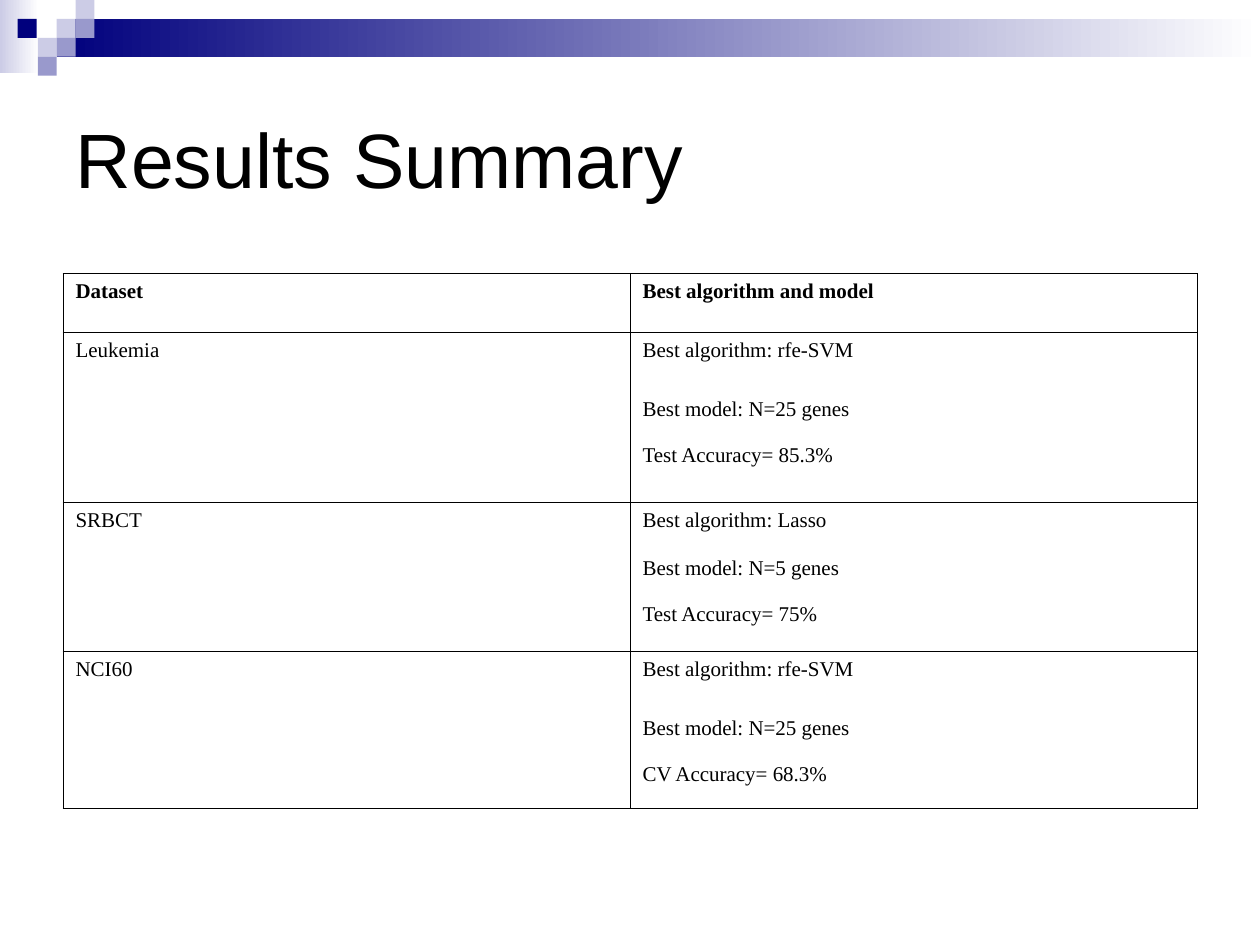
from lxml import etree
from pptx import Presentation
from pptx import util as u
from pptx.dml.color import RGBColor
from pptx.enum import shapes, text
from pptx.oxml import ns

WHITE = RGBColor(0xFF, 0xFF, 0xFF)
BLACK = RGBColor(0, 0, 0)
NAVY = RGBColor(0, 0, 0x7D)
LAVENDER = RGBColor(0xCC, 0xCC, 0xE6)
PERIWINKLE = RGBColor(0x99, 0x99, 0xCC)

BANDS = [((0, 0, 0.31, 0.58), LAVENDER), ((0.45, 0.15, 9.55, 0.3), NAVY)]
SQUARE = 0.15
SQUARES = [
    (0.45, 0.15, LAVENDER),
    (0.6, 0, LAVENDER),
    (0.6, 0.15, PERIWINKLE),
    (0.3, 0.3, LAVENDER),
    (0.14, 0.15, NAVY),
    (0.45, 0.3, PERIWINKLE),
    (0.3, 0.45, PERIWINKLE),
]
HEADINGS = ("Dataset", "Best algorithm and model")
RESULTS = [
    ("Leukemia", "rfe-SVM", 25, "Test Accuracy= 85.3%"),
    ("SRBCT", "Lasso", 5, "Test Accuracy= 75%"),
    ("NCI60", "rfe-SVM", 25, "CV Accuracy= 68.3%"),
]
ROW_HEIGHTS = (0.47, 0.47, 0.88, 0.38, 0.8, 0.47, 0.78)


def add_rectangle(slide, left, top, width, height):
    """Add a rectangle without outline or shadow."""
    shape = slide.shapes.add_shape(
        shapes.MSO_SHAPE.RECTANGLE, *map(u.Inches, (left, top, width, height))
    )
    shape.shadow.inherit = False
    shape.line.fill.background()
    return shape


def add_band(slide, box, color):
    """Add a band that fades from a colour at the left to white."""
    fill = add_rectangle(slide, *box).fill
    fill.gradient()
    fill.gradient_angle = 180
    for stop, stop_color, position in zip(fill.gradient_stops, (WHITE, color), (0, 1)):
        stop.color.rgb = stop_color
        stop.position = position


def add_square(slide, left, top, color):
    """Add one square of the corner mosaic."""
    shape = add_rectangle(slide, left, top, SQUARE, SQUARE)
    shape.fill.solid()
    shape.fill.fore_color.rgb = color


def format_paragraph(paragraph, font_name, size, bold=False):
    """Align a paragraph left and set its font."""
    paragraph.alignment = text.PP_ALIGN.LEFT
    for run in paragraph.runs:
        run.font.name = font_name
        run.font.size = u.Pt(size)
        run.font.bold = bold
        run.font.color.rgb = BLACK


def set_title(slide, wording):
    """Place and format the slide title."""
    title = slide.shapes.title
    title.left, title.top, title.width, title.height = map(u.Inches, (0.5, 0.5, 9, 1.5))
    frame = title.text_frame
    frame.text = wording
    frame.vertical_anchor = text.MSO_ANCHOR.MIDDLE
    format_paragraph(frame.paragraphs[0], "Arial", 44)


def set_borders(cell, sides):
    """Draw thin black borders on the given sides and none elsewhere."""
    properties = cell._tc.get_or_add_tcPr()
    for side in "LRTB":
        line = etree.SubElement(properties, ns.qn(f"a:ln{side}"), w=str(u.Pt(0.45)))
        if side in sides:
            fill = etree.SubElement(line, ns.qn("a:solidFill"))
            etree.SubElement(fill, ns.qn("a:srgbClr"), val=str(BLACK))
        else:
            etree.SubElement(line, ns.qn("a:noFill"))


def fill_cell(cell, wording, sides="LRTB", bold=False):
    """Write and format one table cell."""
    set_borders(cell, sides)
    cell.fill.background()
    cell.text_frame.text = wording
    for index, paragraph in enumerate(cell.text_frame.paragraphs):
        paragraph.space_before = u.Pt(13 if index else 0)
        format_paragraph(paragraph, "Times New Roman", 12, bold)


def add_results_table(slide):
    """Add the table with two rows for each dataset."""
    table = slide.shapes.add_table(
        len(ROW_HEIGHTS), 2, *map(u.Inches, (0.5, 2.17, 9, sum(ROW_HEIGHTS)))
    ).table
    table.first_row = table.horz_banding = False
    for row, height in zip(table.rows, ROW_HEIGHTS):
        row.height = u.Inches(height)
    for column, heading in enumerate(HEADINGS):
        fill_cell(table.cell(0, column), heading, bold=True)
    for index, (dataset, algorithm, genes, accuracy) in enumerate(RESULTS):
        top = 1 + 2 * index
        fill_cell(table.cell(top, 0), dataset)
        set_borders(table.cell(top + 1, 0), "LRB")
        table.cell(top, 0).merge(table.cell(top + 1, 0))
        fill_cell(table.cell(top, 1), f"Best algorithm: {algorithm}", "LRT")
        model = f"Best model: N={genes} genes\n{accuracy}"
        fill_cell(table.cell(top + 1, 1), model, "LRB")


def main():
    """Build and save the results slide."""
    presentation = Presentation()
    presentation.slide_width = u.Inches(10)
    presentation.slide_height = u.Inches(7.5)
    slide = presentation.slides.add_slide(presentation.slide_layouts[5])
    for box, color in BANDS:
        add_band(slide, box, color)
    for left, top, color in SQUARES:
        add_square(slide, left, top, color)
    set_title(slide, "Results Summary")
    add_results_table(slide)
    presentation.save("out.pptx")


if __name__ == "__main__":
    main()
